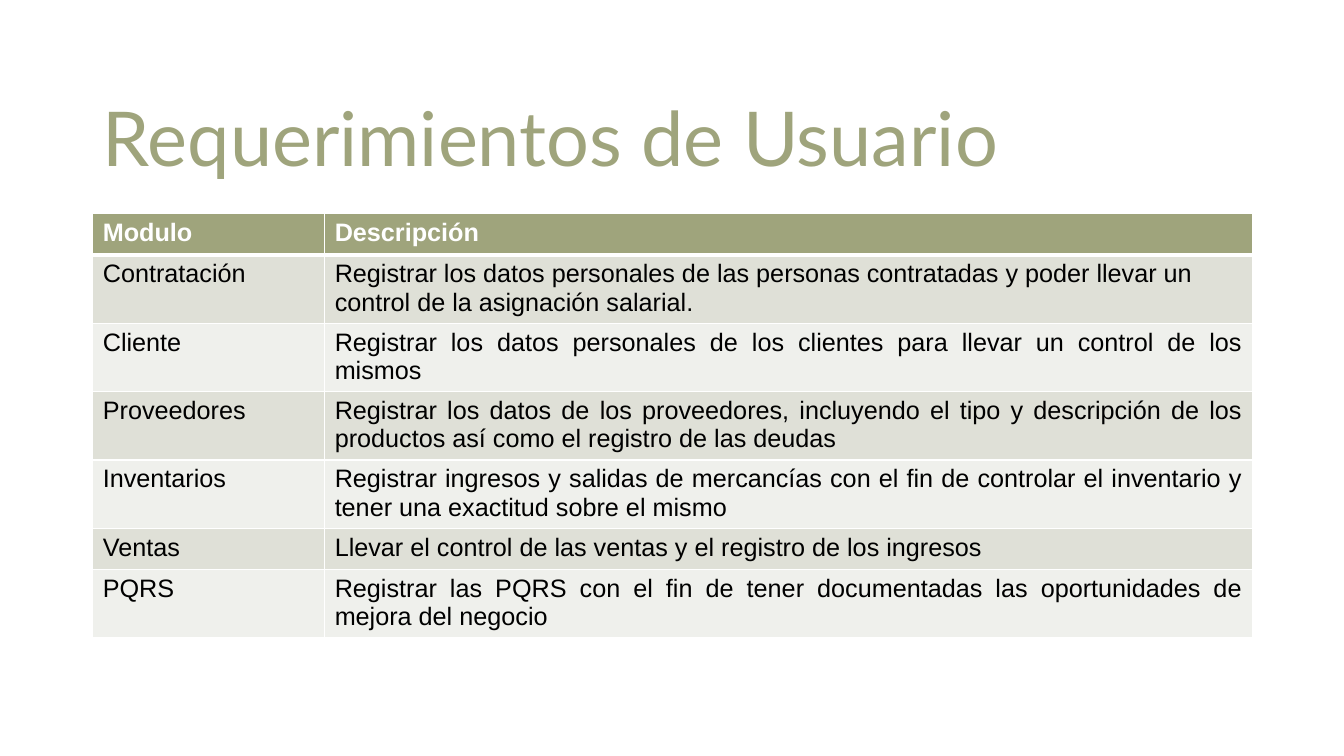
import pptx
import pptx.dml.color
import pptx.enum.text
import pptx.oxml
import pptx.oxml.ns
import pptx.util

Inches, Pt = pptx.util.Inches, pptx.util.Pt
RGBColor = pptx.dml.color.RGBColor
PP_ALIGN = pptx.enum.text.PP_ALIGN

WHITE = RGBColor(0xFF, 0xFF, 0xFF)
BLACK = RGBColor(0, 0, 0)
SAGE = RGBColor(0x9F, 0xA4, 0x7C)
BANDS = [RGBColor(0xDF, 0xE0, 0xD7), RGBColor(0xEF, 0xF0, 0xEC)]

SLIDE_W, SLIDE_H = Inches(13.33), Inches(7.5)
TITLE_BOX = Inches(0.92), Inches(0.4), Inches(11.5), Inches(1.45)
TABLE_BOX = Inches(0.92), Inches(2.12), Inches(11.5), Inches(4.21)
MODULE_SHARE = 0.2
ROW_UNITS = [0.41, 0.68, 0.68, 0.68, 0.68, 0.41, 0.68]

REQUIREMENTS = [
    ("Modulo", "Descripción"),
    ("Contratación", "Registrar los datos personales de las personas contratadas y poder "
                     "llevar un control de la asignación salarial."),
    ("Cliente", "Registrar los datos personales de los clientes para llevar un control "
                "de los mismos"),
    ("Proveedores", "Registrar los datos de los proveedores, incluyendo el tipo y "
                    "descripción de los productos así como el registro de las deudas "),
    ("Inventarios", "Registrar ingresos y salidas de mercancías con el fin de controlar "
                    "el inventario y tener una exactitud sobre el mismo"),
    ("Ventas", "Llevar el control de las ventas y el registro de los ingresos "),
    ("PQRS", "Registrar las PQRS con el fin de tener documentadas las oportunidades "
             "de mejora del negocio"),
]
FIRST_JUSTIFIED_ROW = 2


def format_runs(p, font, size, color, bold=False):
    for r in p.runs:
        r.font.name, r.font.size, r.font.bold = font, Pt(size), bold
        r.font.color.rgb = color


def set_borders(cell, widths):
    """Draw white borders, with widths in points by side, ahead of the cell's fill."""
    tc_pr = cell._tc.get_or_add_tcPr()
    for i, (side, width) in enumerate(widths.items()):
        tc_pr.insert(i, pptx.oxml.parse_xml(
            f'<a:ln{side} {pptx.oxml.ns.nsdecls("a")} w="{Pt(width)}">'
            f'<a:solidFill><a:srgbClr val="{WHITE}"/></a:solidFill></a:ln{side}>'))


def add_title(s, box, text):
    sp = s.shapes.title
    sp.left, sp.top, sp.width, sp.height = box
    tf = sp.text_frame
    tf.text = text
    tf.auto_size = pptx.enum.text.MSO_AUTO_SIZE.NONE
    tf.vertical_anchor = pptx.enum.text.MSO_ANCHOR.BOTTOM
    tf.paragraphs[0].alignment = PP_ALIGN.LEFT
    format_runs(tf.paragraphs[0], "Lato", 54, SAGE)


def add_requirements_table(s, box, rows):
    left, top, width, height = box
    table = s.shapes.add_table(len(rows), 2, left, top, width, height).table
    table.columns[0].width = int(width * MODULE_SHARE)
    table.columns[1].width = width - table.columns[0].width
    for i, texts in enumerate(rows):
        table.rows[i].height = int(height * ROW_UNITS[i] / sum(ROW_UNITS))
        header = i == 0
        for j, text in enumerate(texts):
            cell = table.cell(i, j)
            cell.text = text
            cell.fill.solid()
            cell.fill.fore_color.rgb = SAGE if header else BANDS[(i - 1) % 2]
            set_borders(cell, {"L": 0.96, "R": 0.96, "T": 3 if i == 1 else 0.96,
                               "B": 3 if header else 0.96})
            p = cell.text_frame.paragraphs[0]
            justified = j == 1 and i >= FIRST_JUSTIFIED_ROW
            p.alignment = PP_ALIGN.JUSTIFY if justified else PP_ALIGN.LEFT
            format_runs(p, "Arial", 18, WHITE if header else BLACK, header)


def main():
    prs = pptx.Presentation()
    prs.slide_width, prs.slide_height = SLIDE_W, SLIDE_H
    s = prs.slides.add_slide(prs.slide_layouts[5])
    add_title(s, TITLE_BOX, "Requerimientos de Usuario")
    add_requirements_table(s, TABLE_BOX, REQUIREMENTS)
    prs.save("out.pptx")


if __name__ == "__main__":
    main()
